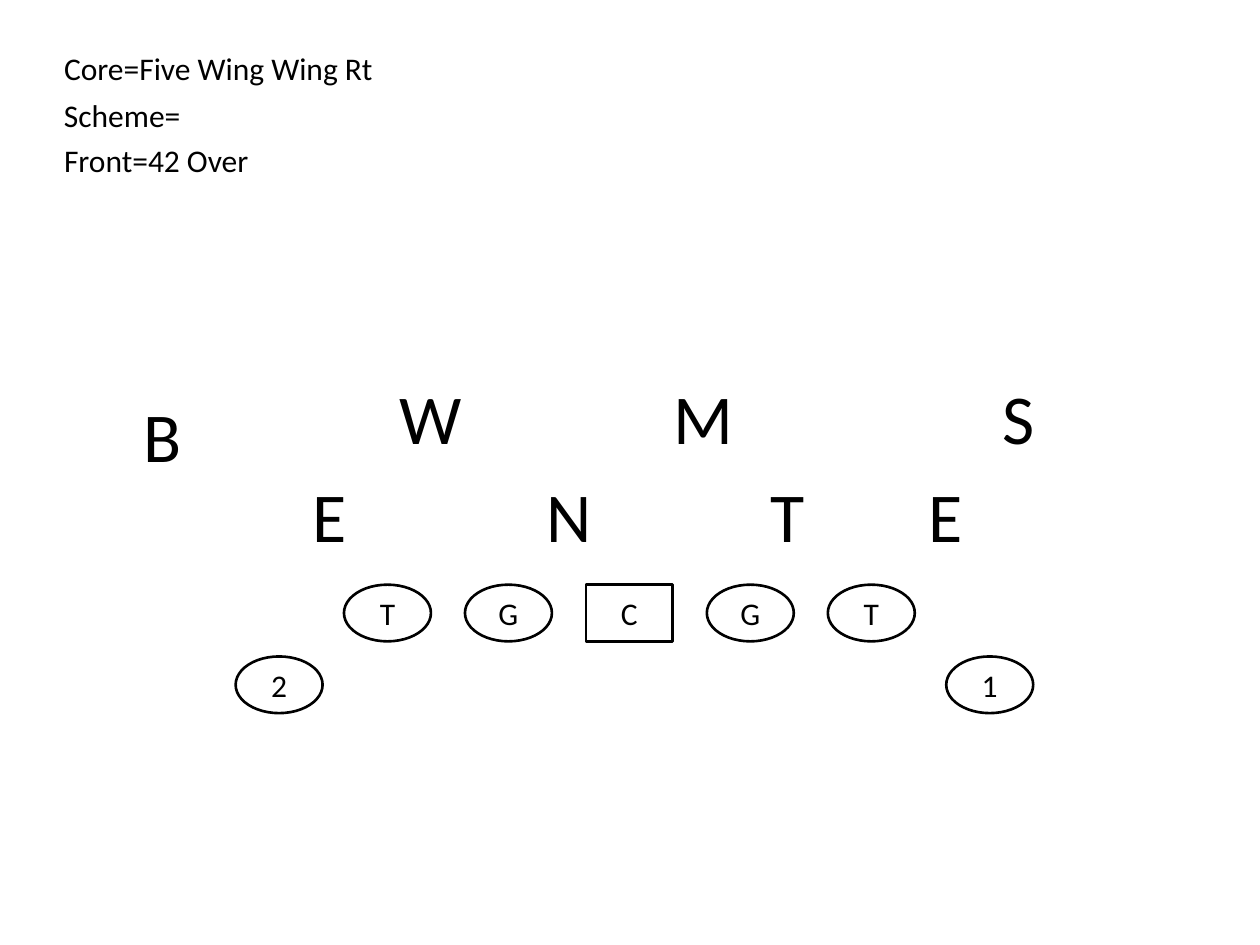
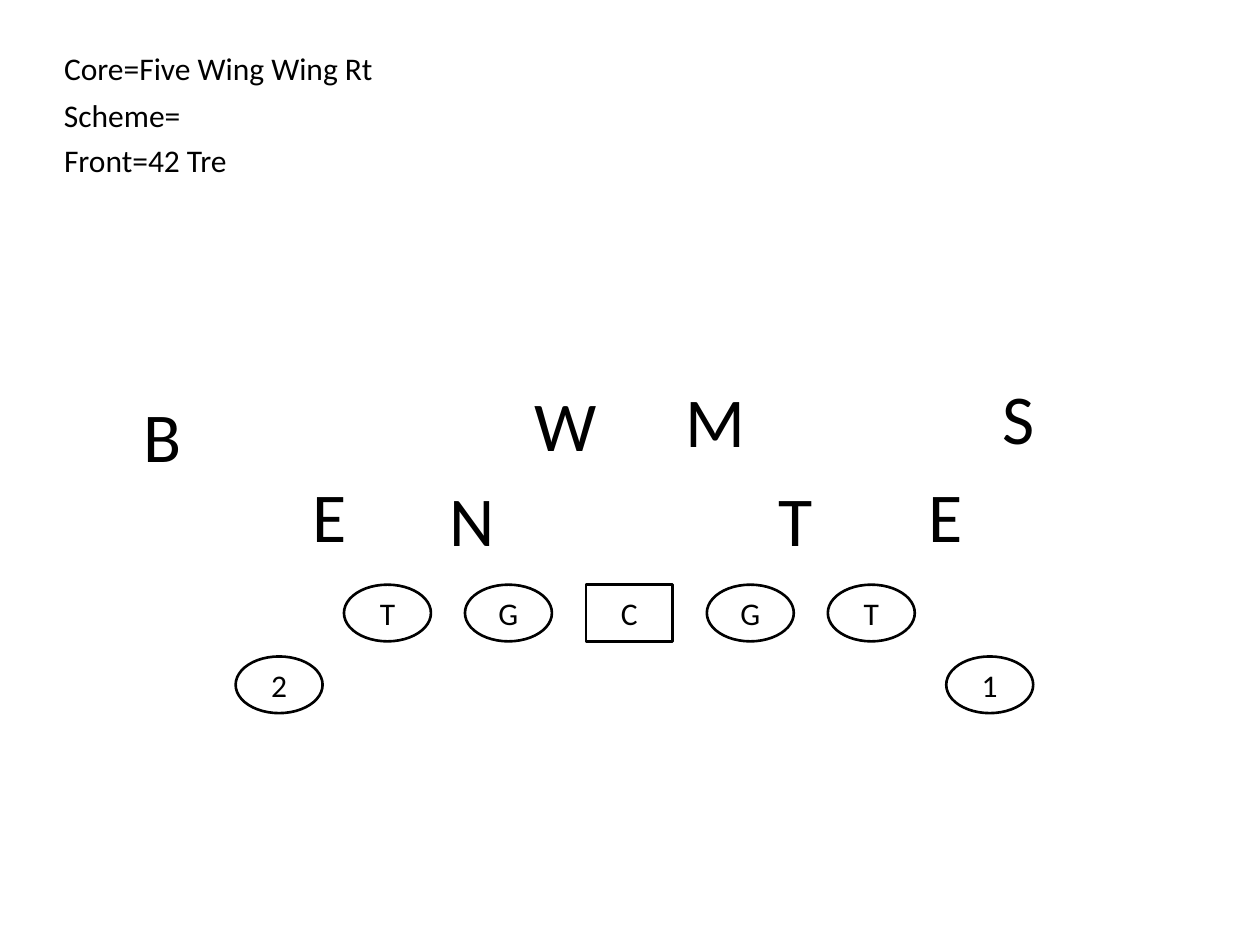
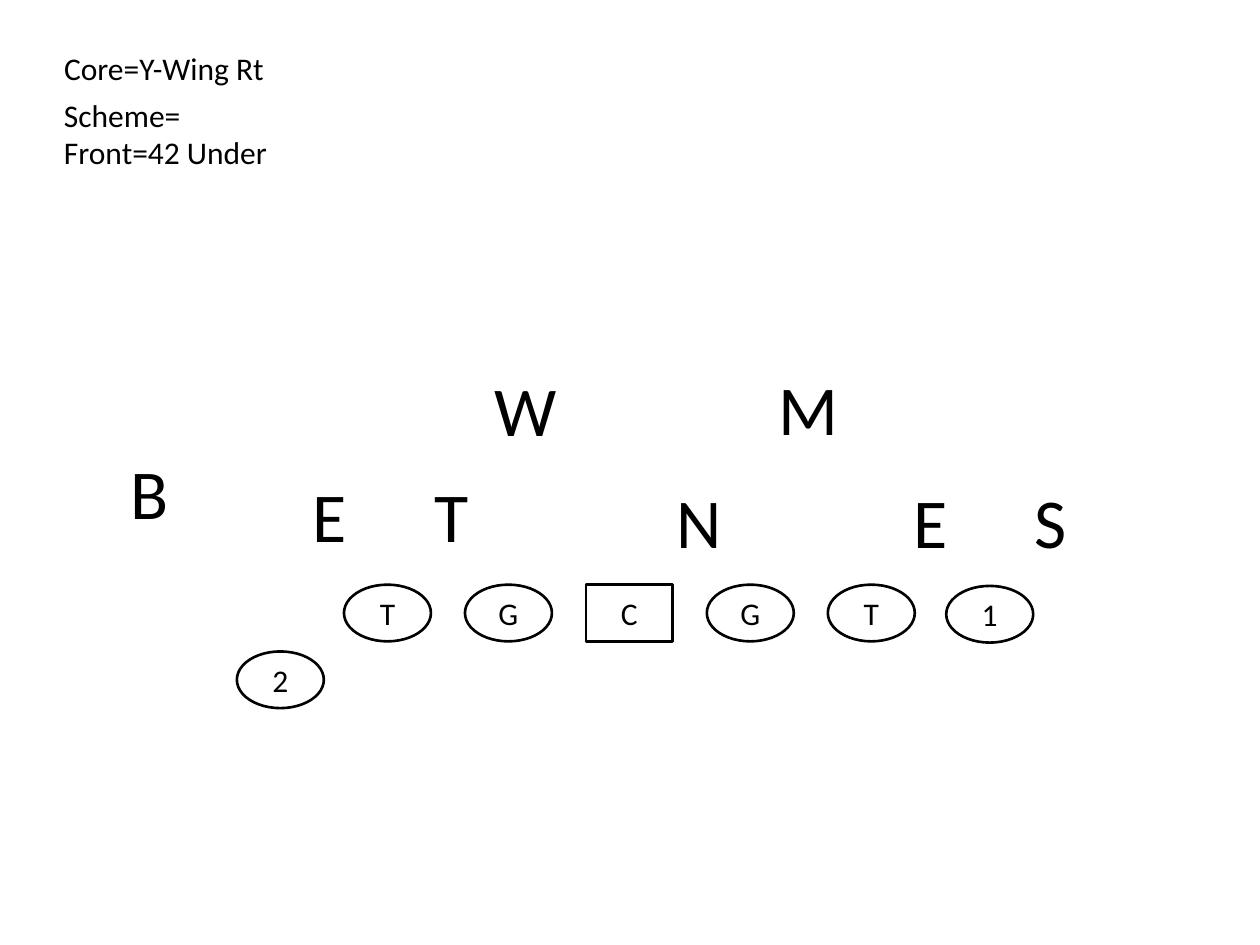
from pptx import Presentation
from pptx.dml.color import RGBColor
from pptx.enum.shapes import MSO_SHAPE
from pptx.enum.text import MSO_ANCHOR, MSO_AUTO_SIZE, PP_ALIGN
from pptx.util import Inches, Pt

RECT, OVAL = MSO_SHAPE.RECTANGLE, MSO_SHAPE.OVAL
MIDDLE, CENTER = MSO_ANCHOR.MIDDLE, PP_ALIGN.CENTER
GROW = MSO_AUTO_SIZE.SHAPE_TO_FIT_TEXT

COLORS = {"ink": "000000", "paper": "FFFFFF"}
INK = RGBColor.from_string(COLORS["ink"])
PAPER = RGBColor.from_string(COLORS["paper"])
FONT = "Calibri"

NOTE_LEFT, NOTE_HEIGHT, NOTE_SIZE = 0.41, 0.4, 18
DEFENDER_HEIGHT, DEFENDER_SIZE = 0.77, 40
DEFENDER_WIDTHS = {"N": 0.56, "T": 0.48, "E": 0.48, "W": 0.7, "M": 0.7, "S": 0.46, "B": 0.51}
PLAYER_WIDTH, PLAYER_HEIGHT = 0.69, 0.45
LINE_LEFT, LINE_TOP, LINE_PITCH = 2.73, 4.64, 0.96

# Notes are (text, top, width); defenders and wings are (label, left, top).
plays = [
    {
        "notes": [("Core=Five Wing Wing Rt", 0.34, 2.68), ("Scheme=", 0.71, 1.14),
                  ("Front=42 Over", 1.07, 1.68)],
        "defenders": [("N", 4.24, 3.7), ("T", 6.02, 3.7), ("E", 7.27, 3.7), ("E", 2.38, 3.7),
                      ("W", 3.07, 2.92), ("M", 5.25, 2.92), ("S", 7.86, 2.92), ("B", 1.04, 3.07)],
        "wings": [("1", 7.51, 5.21), ("2", 1.87, 5.21)],
    },
    {
        "notes": [("Core=Five Wing Wing Rt", 0.34, 2.68), ("Scheme=", 0.71, 1.14),
                  ("Front=42 Tre", 1.07, 1.51)],
        "defenders": [("N", 3.47, 3.73), ("T", 6.08, 3.73), ("E", 7.27, 3.7), ("E", 2.38, 3.7),
                      ("W", 4.14, 2.98), ("M", 5.34, 2.95), ("S", 7.86, 2.92), ("B", 1.04, 3.07)],
        "wings": [("1", 7.51, 5.21), ("2", 1.87, 5.21)],
    },
    {
        "notes": [("Core=Y-Wing Rt", 0.34, 1.82), ("Scheme=", 0.71, 1.14),
                  ("Front=42 Under", 1.01, 1.83)],
        "defenders": [("N", 5.27, 3.75), ("T", 3.35, 3.7), ("E", 7.15, 3.75), ("E", 2.38, 3.7),
                      ("W", 3.83, 2.86), ("M", 6.08, 2.85), ("S", 8.11, 3.75), ("B", 0.94, 3.52)],
        "wings": [("1", 7.51, 4.65), ("2", 1.88, 5.17)],
    },
]


def add_text(s, text, left, top, width, height, size):
    tf = s.shapes.add_textbox(Inches(left), Inches(top), Inches(width), Inches(height)).text_frame
    tf.text = text
    tf.word_wrap = False
    tf.auto_size = GROW
    font = tf.paragraphs[0].runs[0].font
    font.name, font.size, font.color.rgb = FONT, Pt(size), INK


def add_player(s, kind, label, left, top):
    sp = s.shapes.add_shape(kind, Inches(left), Inches(top),
                            Inches(PLAYER_WIDTH), Inches(PLAYER_HEIGHT))
    sp.shadow.inherit = False
    sp.fill.solid()
    sp.fill.fore_color.rgb = PAPER
    sp.line.color.rgb = INK
    sp.line.width = Pt(1.5)
    tf = sp.text_frame
    tf.text = label
    tf.vertical_anchor = MIDDLE
    p = tf.paragraphs[0]
    p.alignment = CENTER
    font = p.runs[0].font
    font.name, font.size, font.color.rgb = FONT, Pt(18), INK


prs = Presentation()
prs.slide_width, prs.slide_height = Inches(10), Inches(7.5)
blank = prs.slide_layouts[6]

for play in plays:
    s = prs.slides.add_slide(blank)
    for text, top, width in play["notes"]:
        add_text(s, text, NOTE_LEFT, top, width, NOTE_HEIGHT, NOTE_SIZE)
    for i, label in enumerate("TGCGT"):
        kind = RECT if label == "C" else OVAL
        add_player(s, kind, label, LINE_LEFT + i * LINE_PITCH, LINE_TOP)
    for label, left, top in play["defenders"]:
        add_text(s, label, left, top, DEFENDER_WIDTHS[label], DEFENDER_HEIGHT, DEFENDER_SIZE)
    for label, left, top in play["wings"]:
        add_player(s, OVAL, label, left, top)

prs.save("out.pptx")
